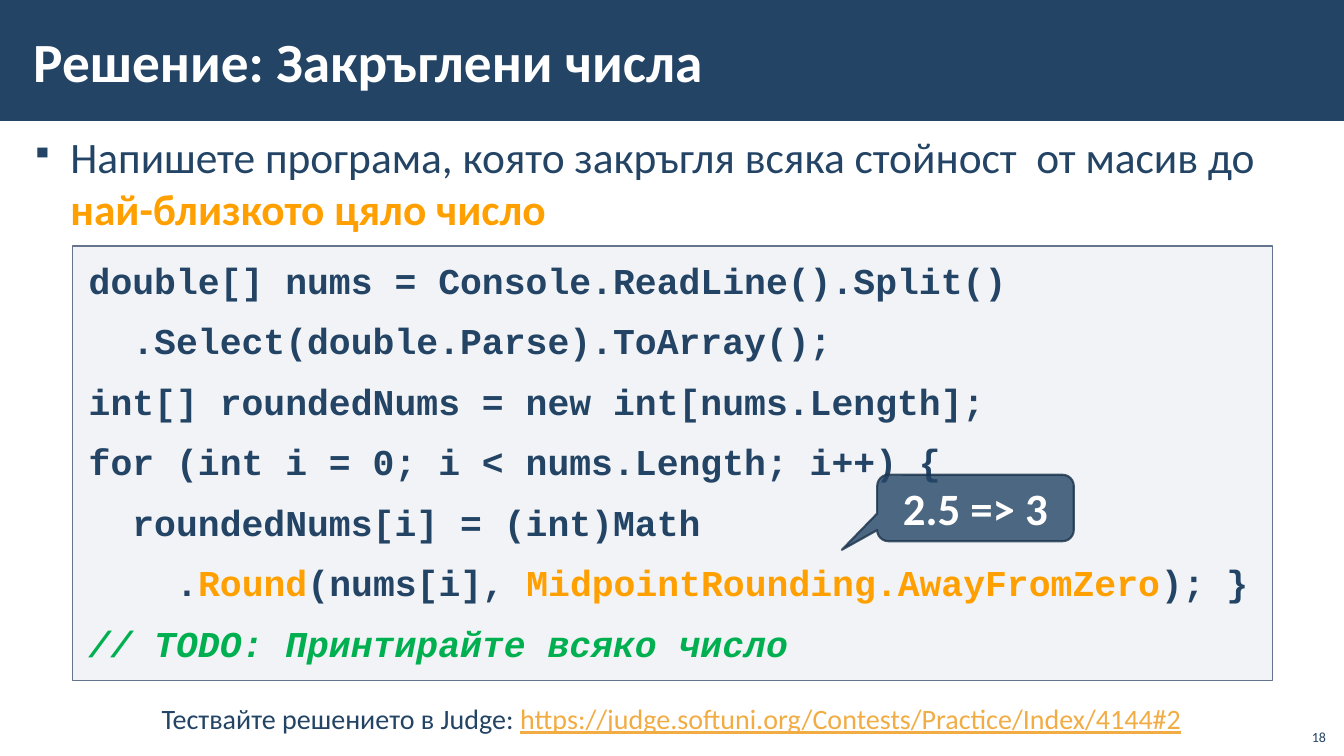
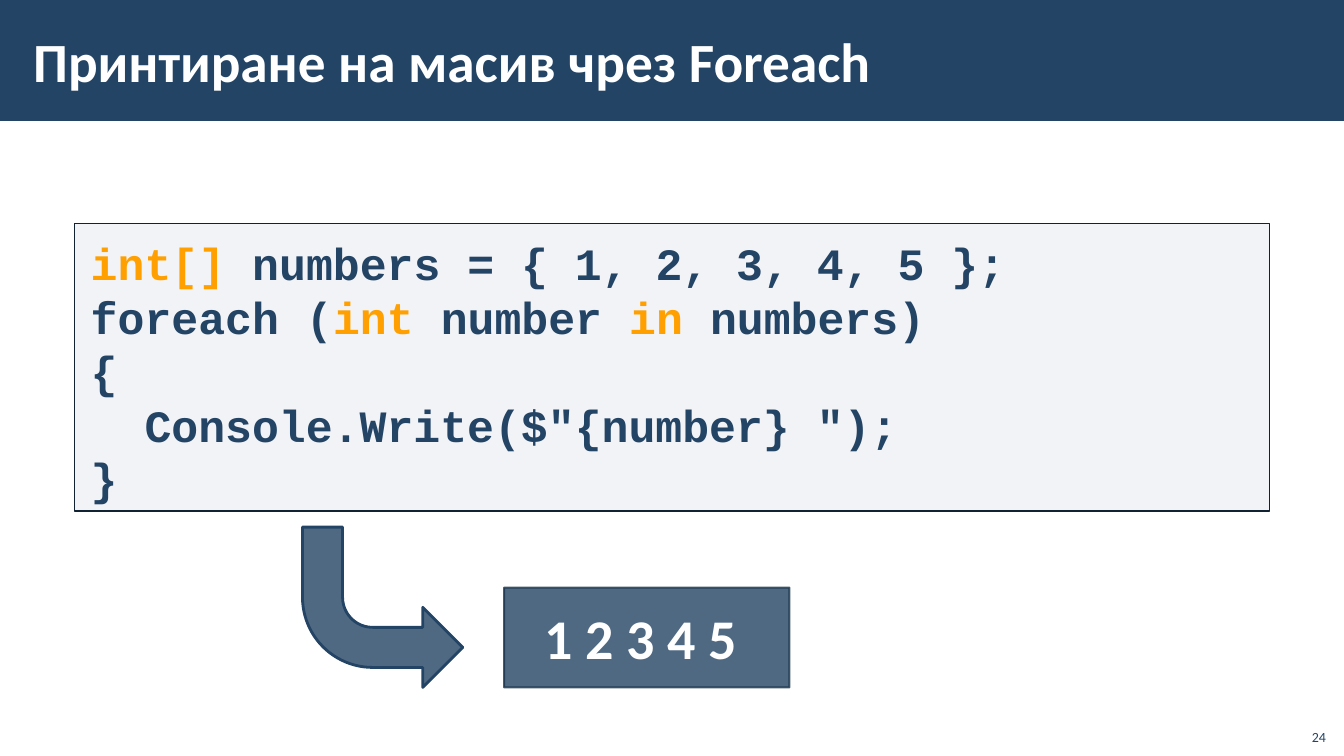
from lxml import etree
from pptx import Presentation
from pptx.dml.color import RGBColor
from pptx.enum.shapes import MSO_SHAPE
from pptx.enum.text import MSO_ANCHOR, PP_ALIGN
from pptx.oxml.ns import qn
from pptx.util import Inches, Pt

NAVY = RGBColor(0x23, 0x44, 0x65)
DARK_NAVY = RGBColor(0x1A, 0x33, 0x4C)
INK = RGBColor(0x11, 0x22, 0x33)
SLATE = RGBColor(0x67, 0x74, 0x8E)
GREY = RGBColor(0xAD, 0xB4, 0xC3)
ORANGE = RGBColor(0xFF, 0xA0, 0x00)
LINK = RGBColor(0xF2, 0xAC, 0x44)
GREEN = RGBColor(0x00, 0xB0, 0x50)
WHITE = RGBColor(0xFF, 0xFF, 0xFF)
BODY_FONT = "Calibri"
CODE_FONT = "Courier New"


def add_panel(slide, kind, box, fill, opacity, line, line_width, line_opacity=100):
    """Add a shape whose fill and outline have an opacity in percent."""
    panel = slide.shapes.add_shape(kind, *map(Inches, box))
    panel.shadow.inherit = False
    panel.fill.solid()
    panel.fill.fore_color.rgb = fill
    panel.line.color.rgb = line
    panel.line.width = Pt(line_width)
    properties = panel._element.spPr
    fills = [(properties, opacity), (properties.find(qn("a:ln")), line_opacity)]
    for parent, percent in fills:
        if percent < 100:
            color = parent.find(qn("a:solidFill"))[0]
            etree.SubElement(color, qn("a:alpha"), val=str(percent * 1000))
    return panel


def write(frame, lines, size, font=BODY_FONT, color=NAVY, bold=False,
          align=PP_ALIGN.LEFT, anchor=MSO_ANCHOR.TOP, gap=0):
    """Fill a frame; each line is a list of (text, own colour or None)."""
    frame.word_wrap = True
    frame.vertical_anchor = anchor
    for index, line in enumerate(lines):
        paragraph = frame.paragraphs[0] if index == 0 else frame.add_paragraph()
        paragraph.alignment = align
        paragraph.space_before = Pt(gap if index else 0)
        paragraph.space_after = Pt(gap)
        paragraph.font.size = Pt(size)
        paragraph.font.name = font
        paragraph.font.bold = bold
        paragraph.font.color.rgb = color
        for text, own_color in line:
            run = paragraph.add_run()
            run.text = text
            if own_color is not None:
                run.font.color.rgb = own_color


presentation = Presentation()
presentation.slide_width = Inches(13.33)
presentation.slide_height = Inches(7.5)

rounding_code = [
    [("double[] nums = Console.ReadLine().Split()", None)],
    [("  .Select(double.Parse).ToArray();", None)],
    [("int[] roundedNums = new int[nums.Length];", None)],
    [("for (int i = 0; i < nums.Length; i++) {", None)],
    [("  roundedNums[i] = (int)Math", None)],
    [("    .", None), ("Round", ORANGE), ("(nums[i], ", None),
     ("MidpointRounding.AwayFromZero", ORANGE), ("); }", None)],
    [("// TODO: Принтирайте всяко число", GREEN)],
]
foreach_code = [
    [("int[]", ORANGE), (" numbers = { 1, 2, 3, 4, 5 };", None)],
    [("foreach (", None), ("int", ORANGE), (" number ", None),
     ("in", ORANGE), (" numbers)", None)],
    [("{", None)],
    [('  Console.Write($"{number} ");', None)],
    [("}", None)],
]
# title, page number, code, code box, outline, code size, paragraph gap
pages = [
    ("Решение: Закръглени числа", "18", rounding_code,
     (0.72, 2.44, 11.9, 4.31), SLATE, 26, 6),
    ("Принтиране на масив чрез Foreach", "24", foreach_code,
     (0.74, 2.22, 11.85, 2.85), INK, 32, 0),
]

slides = []
code_frames = []
for title, number, code, code_box, outline, code_size, gap in pages:
    slide = presentation.slides.add_slide(presentation.slide_layouts[6])
    slides.append(slide)

    band = slide.shapes.add_shape(
        MSO_SHAPE.RECTANGLE, 0, 0, presentation.slide_width, Inches(1.2))
    band.shadow.inherit = False
    band.fill.solid()
    band.fill.fore_color.rgb = NAVY
    band.line.fill.background()

    heading = slide.shapes.add_textbox(
        Inches(0.21), Inches(0.11), Inches(10.7), Inches(0.97)).text_frame
    heading.margin_left = heading.margin_right = Inches(0.12)
    write(heading, [[(title, None)]], 39.5, color=WHITE, bold=True,
          anchor=MSO_ANCHOR.MIDDLE)

    code_frame = add_panel(slide, MSO_SHAPE.RECTANGLE, code_box,
                           GREY, 15, outline, 1).text_frame
    code_frame.margin_left = code_frame.margin_right = Inches(0.16)
    code_frame.margin_top = code_frame.margin_bottom = Inches(0.12)
    write(code_frame, code, code_size, CODE_FONT, bold=True, gap=gap)
    code_frames.append(code_frame)

    page_number = slide.shapes.add_textbox(
        Inches(12.85), Inches(7.12), Inches(0.4), Inches(0.32)).text_frame
    write(page_number, [[(number, None)]], 10, align=PP_ALIGN.RIGHT,
          anchor=MSO_ANCHOR.BOTTOM)

rounding_slide, foreach_slide = slides

# Rounding: task, example and link
code_frames[0].paragraphs[-1].font.italic = True

task = rounding_slide.shapes.add_textbox(
    Inches(0.21), Inches(1.24), Inches(12.91), Inches(1.2)).text_frame
indent = Inches(0.39)
bullet_properties = task.paragraphs[0]._p.get_or_add_pPr()
bullet_properties.set("marL", str(indent))
bullet_properties.set("indent", str(-indent))
bullet_color = etree.SubElement(bullet_properties, qn("a:buClr"))
etree.SubElement(bullet_color, qn("a:srgbClr"), val=str(NAVY))
etree.SubElement(bullet_properties, qn("a:buSzPct"), val="70000")
etree.SubElement(bullet_properties, qn("a:buChar"), char="▪")
write(task, [[("Напишете програма, която закръгля всяка стойност  от масив до ", None),
              ("най-близкото цяло число", ORANGE)]], 31)
task.paragraphs[0].runs[1].font.bold = True

example = add_panel(rounding_slide, MSO_SHAPE.ROUNDED_RECTANGULAR_CALLOUT,
                    (8.7, 4.71, 1.95, 0.66), NAVY, 80, DARK_NAVY, 1.5, 80)
for index, value in enumerate((-0.68, 0.63, 0.17)):
    example.adjustments[index] = value
write(example.text_frame, [[("2.5 => 3", None)]], 32, color=WHITE, bold=True,
      align=PP_ALIGN.CENTER, anchor=MSO_ANCHOR.MIDDLE)

judge = rounding_slide.shapes.add_textbox(
    Inches(0.87), Inches(6.91), Inches(11.58), Inches(0.44)).text_frame
write(judge, [[("Тествайте решението в Judge: ", None),
               ("https://judge.softuni.org/Contests/Practice/Index/4144#2", LINK)]],
      20, align=PP_ALIGN.CENTER)
judge.paragraphs[0].runs[1].font.underline = True

# Foreach: arrow to the printed output
arrow = add_panel(foreach_slide, MSO_SHAPE.BENT_ARROW,
                  (3, 5.23, 1.59, 1.59), NAVY, 80, NAVY, 2)
arrow._element.spPr.find(qn("a:xfrm")).set("flipV", "1")

output = add_panel(foreach_slide, MSO_SHAPE.RECTANGLE,
                   (5, 5.83, 2.83, 0.99), NAVY, 80, DARK_NAVY, 1.5, 80)
write(output.text_frame, [[("1 2 3 4 5 ", None)]], 40, color=WHITE, bold=True,
      align=PP_ALIGN.CENTER, anchor=MSO_ANCHOR.MIDDLE)

presentation.save("out.pptx")
